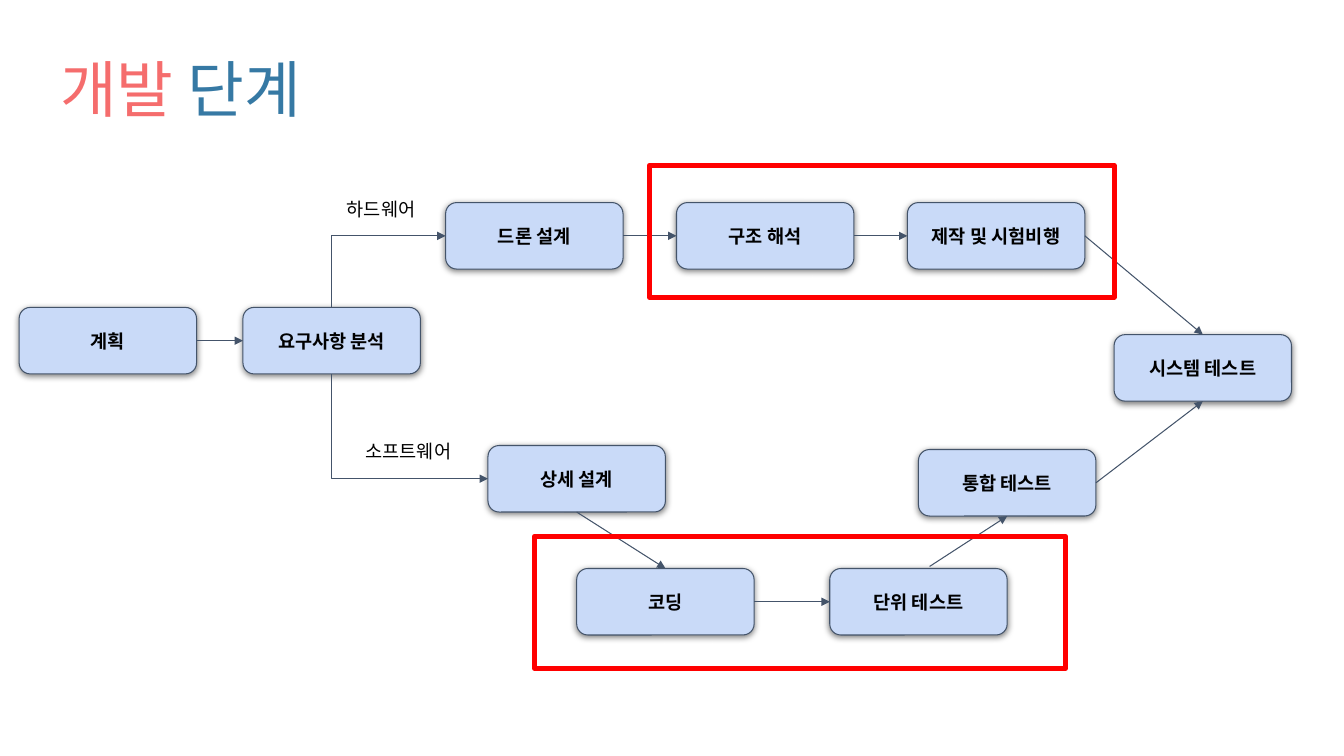
"""Build the development stages flow slide."""
from dataclasses import dataclass

from lxml import etree
from pptx import Presentation
from pptx.dml.color import RGBColor
from pptx.enum import shapes, text
from pptx.oxml import ns
from pptx.util import Inches, Pt


@dataclass(frozen=True)
class Theme:
    font: str = "Noto Sans CJK KR"
    coral: str = "F56D6D"
    blue: str = "3679A4"
    black: str = "000000"
    fill: str = "C9DAF8"
    slate: str = "44546A"
    red: str = "FF0000"
    title: float = 44
    body: float = 13.3
    thin: float = 0.75
    thick: float = 3.5


@dataclass(frozen=True)
class Stage:
    name: str
    left: float
    top: float


@dataclass(frozen=True)
class Link:
    start: str
    out: int
    end: str
    into: int


@dataclass(frozen=True)
class Area:
    left: float
    top: float
    width: float
    height: float

    def spots(self) -> list:
        return [Inches(n) for n in (self.left, self.top, self.width, self.height)]


@dataclass(frozen=True)
class Label:
    words: str
    area: Area


THEME = Theme()
WIDE, HIGH = 1.76, 0.66
TOP, LEFT, BOTTOM, RIGHT = range(4)
HARD, PLAN, CODE = 2.01, 3.05, 5.64

STAGES = [
    Stage("계획", 0.19, PLAN),
    Stage("요구사항 분석", 2.41, PLAN),
    Stage("드론 설계", 4.42, HARD),
    Stage("구조 해석", 6.71, HARD),
    Stage("제작 및 시험비행", 9, HARD),
    Stage("상세 설계", 4.84, 4.42),
    Stage("코딩", 5.72, CODE),
    Stage("단위 테스트", 8.23, CODE),
    Stage("통합 테스트", 9.11, 4.46),
    Stage("시스템 테스트", 11.05, 3.32),
]
LINKS = [
    Link("계획", RIGHT, "요구사항 분석", LEFT),
    Link("드론 설계", RIGHT, "구조 해석", LEFT),
    Link("구조 해석", RIGHT, "제작 및 시험비행", LEFT),
    Link("제작 및 시험비행", RIGHT, "시스템 테스트", TOP),
    Link("상세 설계", BOTTOM, "코딩", TOP),
    Link("코딩", RIGHT, "단위 테스트", LEFT),
    Link("통합 테스트", RIGHT, "시스템 테스트", BOTTOM),
]
BENDS = [
    Link("드론 설계", LEFT, "요구사항 분석", TOP),
    Link("상세 설계", LEFT, "요구사항 분석", BOTTOM),
]
LABELS = [
    Label("하드웨어", Area(3.12, 1.85, 1.32, 0.49)),
    Label("소프트웨어", Area(3.39, 4.25, 1.32, 0.49)),
]
FRAMES = [Area(5.3, 5.32, 5.27, 1.31), Area(6.44, 1.64, 4.61, 1.31)]


def rgb(code: str) -> RGBColor:
    """Turn a hex code into a colour."""
    return RGBColor.from_string(code)


def write(para, words: str, *, size: float = THEME.body, color: str = THEME.black,
          bold: bool = False) -> None:
    """Add a formatted run to a paragraph."""
    run = para.add_run()
    run.text = words
    font = run.font
    font.size, font.bold, font.name = Pt(size), bold, THEME.font
    font.color.rgb = rgb(color)
    etree.SubElement(run._r.get_or_add_rPr(), ns.qn("a:ea"), typeface=THEME.font)


def prepare(shape, *, inset: float = 0.13, anchor=text.MSO_ANCHOR.MIDDLE,
            align=text.PP_ALIGN.CENTER):
    """Set up a text frame and return its first paragraph."""
    frame = shape.text_frame
    frame.word_wrap = True
    frame.vertical_anchor = anchor
    frame.margin_left = frame.margin_right = Inches(inset)
    frame.margin_top = frame.margin_bottom = Inches(inset)
    para = frame.paragraphs[0]
    para.alignment = align
    return para


def shade(shape) -> None:
    """Give a shape a soft shadow straight below it."""
    effects = shape._element.spPr.find(ns.qn("a:effectLst"))
    outer = etree.SubElement(effects, ns.qn("a:outerShdw"), blurRad=str(Pt(4.5)),
                             dist=str(Pt(1.5)), dir="5400000", algn="bl",
                             rotWithShape="0")
    tint = etree.SubElement(outer, ns.qn("a:srgbClr"), val=THEME.black)
    etree.SubElement(tint, ns.qn("a:alpha"), val="50000")


def draw_title(slide) -> None:
    """Draw the two-colour title."""
    box = slide.shapes.add_textbox(*Area(0.5, 0.19, 11.5, 1.45).spots())
    para = prepare(box, inset=0.1, align=text.PP_ALIGN.LEFT)
    para.line_spacing = 0.9
    write(para, "개발", size=THEME.title, color=THEME.coral)
    write(para, " 단계", size=THEME.title, color=THEME.blue)


def draw_stage(slide, stage: Stage):
    """Draw one stage box."""
    area = Area(stage.left, stage.top, WIDE, HIGH)
    box = slide.shapes.add_shape(shapes.MSO_SHAPE.ROUNDED_RECTANGLE, *area.spots())
    box.fill.solid()
    box.fill.fore_color.rgb = rgb(THEME.fill)
    box.line.color.rgb = rgb(THEME.slate)
    box.line.width = Pt(THEME.thin)
    box.shadow.inherit = False
    shade(box)
    write(prepare(box), stage.name, bold=True)
    return box


def draw_label(slide, label: Label) -> None:
    """Draw a branch label."""
    box = slide.shapes.add_textbox(*label.area.spots())
    write(prepare(box, anchor=text.MSO_ANCHOR.TOP), label.words)
    box.text_frame.auto_size = text.MSO_AUTO_SIZE.SHAPE_TO_FIT_TEXT


def draw_line(slide, kind, tip: str):
    """Add a styled connector with an arrowhead at one end."""
    line = slide.shapes.add_connector(kind, 0, 0, 0, 0)
    line.line.color.rgb = rgb(THEME.slate)
    line.line.width = Pt(THEME.thin)
    etree.SubElement(line.line._get_or_add_ln(), ns.qn(tip), type="triangle")
    etree.SubElement(line._element.spPr, ns.qn("a:effectLst"))
    return line


def join(line, link: Link, boxes: dict) -> None:
    """Attach a connector to two stage boxes."""
    line.begin_connect(boxes[link.start], link.out)
    line.end_connect(boxes[link.end], link.into)


def draw_frame(slide, area: Area) -> None:
    """Draw a red highlight frame."""
    frame = slide.shapes.add_shape(shapes.MSO_SHAPE.FLOWCHART_PROCESS, *area.spots())
    frame.fill.background()
    frame.line.color.rgb = rgb(THEME.red)
    frame.line.width = Pt(THEME.thick)
    frame.shadow.inherit = False


def main() -> None:
    """Build and save the slide."""
    deck = Presentation()
    deck.slide_width, deck.slide_height = Inches(13.33), Inches(7.5)
    slide = deck.slides.add_slide(deck.slide_layouts[6])
    draw_title(slide)
    boxes = {stage.name: draw_stage(slide, stage) for stage in STAGES}
    for link in BENDS:
        line = draw_line(slide, shapes.MSO_CONNECTOR.ELBOW, "a:headEnd")
        line._element.spPr.find(ns.qn("a:prstGeom")).set("prst", "bentConnector2")
        join(line, link, boxes)
    for link in LINKS:
        join(draw_line(slide, shapes.MSO_CONNECTOR.STRAIGHT, "a:tailEnd"), link, boxes)
    rise = draw_line(slide, shapes.MSO_CONNECTOR.STRAIGHT, "a:tailEnd")
    rise.begin_x, rise.begin_y = Inches(9.22), Inches(5.62)
    rise.end_connect(boxes["통합 테스트"], BOTTOM)
    for label in LABELS:
        draw_label(slide, label)
    for area in FRAMES:
        draw_frame(slide, area)
    deck.save("out.pptx")


if __name__ == "__main__":
    main()
